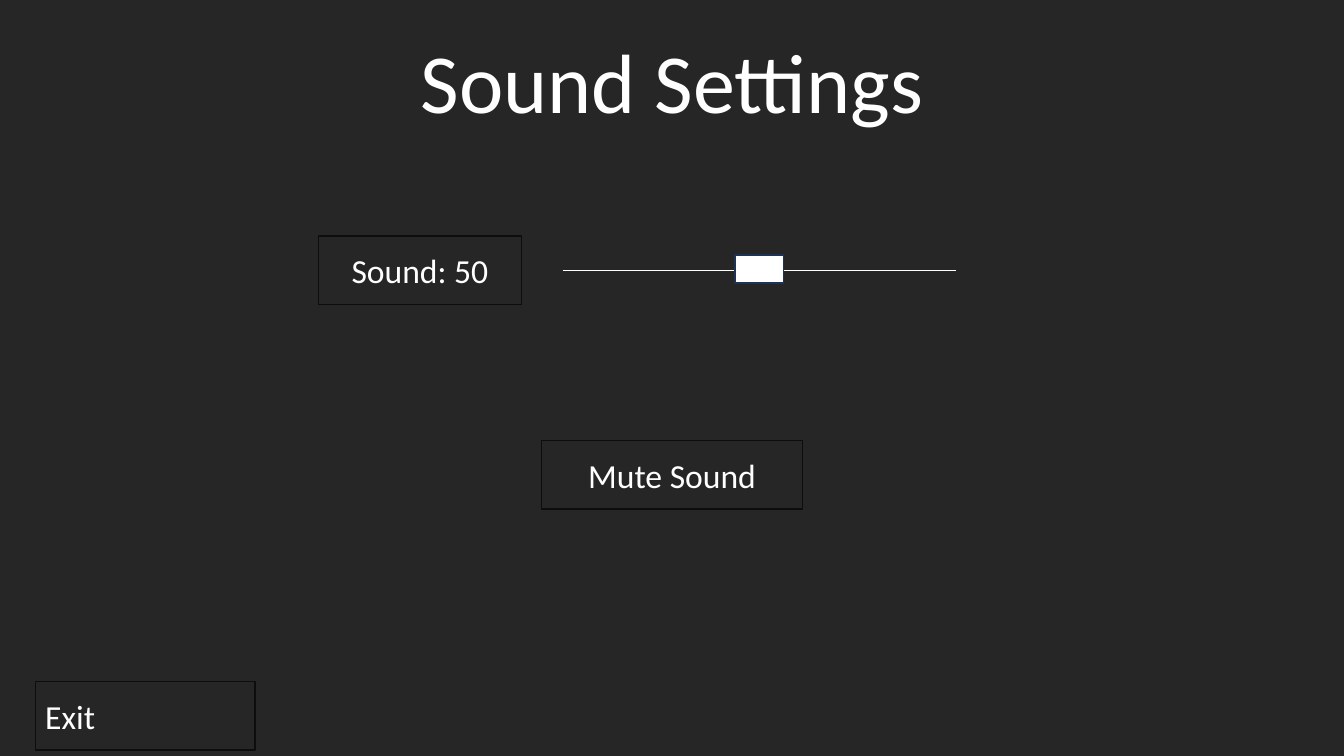
from dataclasses import dataclass

from lxml.etree import SubElement
from pptx import Presentation
from pptx.dml.color import RGBColor
from pptx.enum.shapes import MSO_CONNECTOR, MSO_SHAPE
from pptx.enum.text import MSO_ANCHOR, PP_ALIGN
from pptx.oxml.ns import qn
from pptx.slide import Slide
from pptx.text.text import TextFrame
from pptx.util import Inches, Pt

CHARCOAL = RGBColor(0x26, 0x26, 0x26)
NEAR_BLACK = RGBColor(0x0D, 0x0D, 0x0D)
WHITE = RGBColor(0xFF, 0xFF, 0xFF)
NAVY = RGBColor(0x1E, 0x32, 0x56)

PAGE_WIDTH, PAGE_HEIGHT = 13.33, 7.5
BUTTON_HEIGHT = 0.68
TRACK_START, TRACK_END, TRACK_TOP = 5.58, 9.48, 2.68


@dataclass(frozen=True)
class Panel:
    left: float
    top: float
    width: float
    height: float
    fill: RGBColor = CHARCOAL
    line: RGBColor = NEAR_BLACK
    text: str = ""
    align: PP_ALIGN = PP_ALIGN.CENTER


def write_text(frame: TextFrame, text: str, size: int, align: PP_ALIGN) -> None:
    frame.word_wrap = True
    para = frame.paragraphs[0]
    para.alignment = align
    span = para.add_run()
    span.text = text
    span.font.color.rgb = WHITE
    for name, value in {"name": "Calibri", "size": Pt(size)}.items():
        setattr(span.font, name, value)


def draw_panel(page: Slide, panel: Panel) -> None:
    place = map(Inches, (panel.left, panel.top, panel.width, panel.height))
    box = page.shapes.add_shape(MSO_SHAPE.RECTANGLE, *place)
    box.shadow.inherit = False
    box.fill.solid()
    box.fill.fore_color.rgb = panel.fill
    box.line.color.rgb = panel.line
    box.line.width = Pt(1)
    if panel.text:
        box.text_frame.vertical_anchor = MSO_ANCHOR.MIDDLE
        write_text(box.text_frame, panel.text, 24, panel.align)


def draw_title(page: Slide, text: str) -> None:
    place = map(Inches, (0, 0.24, PAGE_WIDTH, 1.11))
    box = page.shapes.add_textbox(*place)
    write_text(box.text_frame, text, 60, PP_ALIGN.CENTER)


def draw_track(page: Slide) -> None:
    ends = map(Inches, (TRACK_START, TRACK_TOP, TRACK_END, TRACK_TOP))
    track = page.shapes.add_connector(MSO_CONNECTOR.STRAIGHT, *ends)
    track.line.color.rgb = WHITE
    track.line.width = Pt(0.5)
    SubElement(track._element.spPr, qn("a:effectLst"))


BACKDROP = Panel(0, 0, PAGE_WIDTH, PAGE_HEIGHT, line=CHARCOAL)
BUTTONS = (
    Panel(0.35, 6.76, 2.18, BUTTON_HEIGHT, text="Exit", align=PP_ALIGN.LEFT),
    Panel(3.16, 2.34, 2.01, BUTTON_HEIGHT, text="Sound: 50"),
    Panel(5.37, 4.37, 2.59, BUTTON_HEIGHT, text="Mute Sound"),
)
SLIDER_HANDLE = Panel(7.29, 2.53, 0.48, 0.28, fill=WHITE, line=NAVY)

deck = Presentation()
deck.slide_width = Inches(PAGE_WIDTH)
deck.slide_height = Inches(PAGE_HEIGHT)
page = deck.slides.add_slide(deck.slide_layouts[6])

draw_panel(page, BACKDROP)
draw_title(page, "Sound Settings")
for button in BUTTONS:
    draw_panel(page, button)
draw_track(page)
draw_panel(page, SLIDER_HANDLE)

deck.save("out.pptx")
